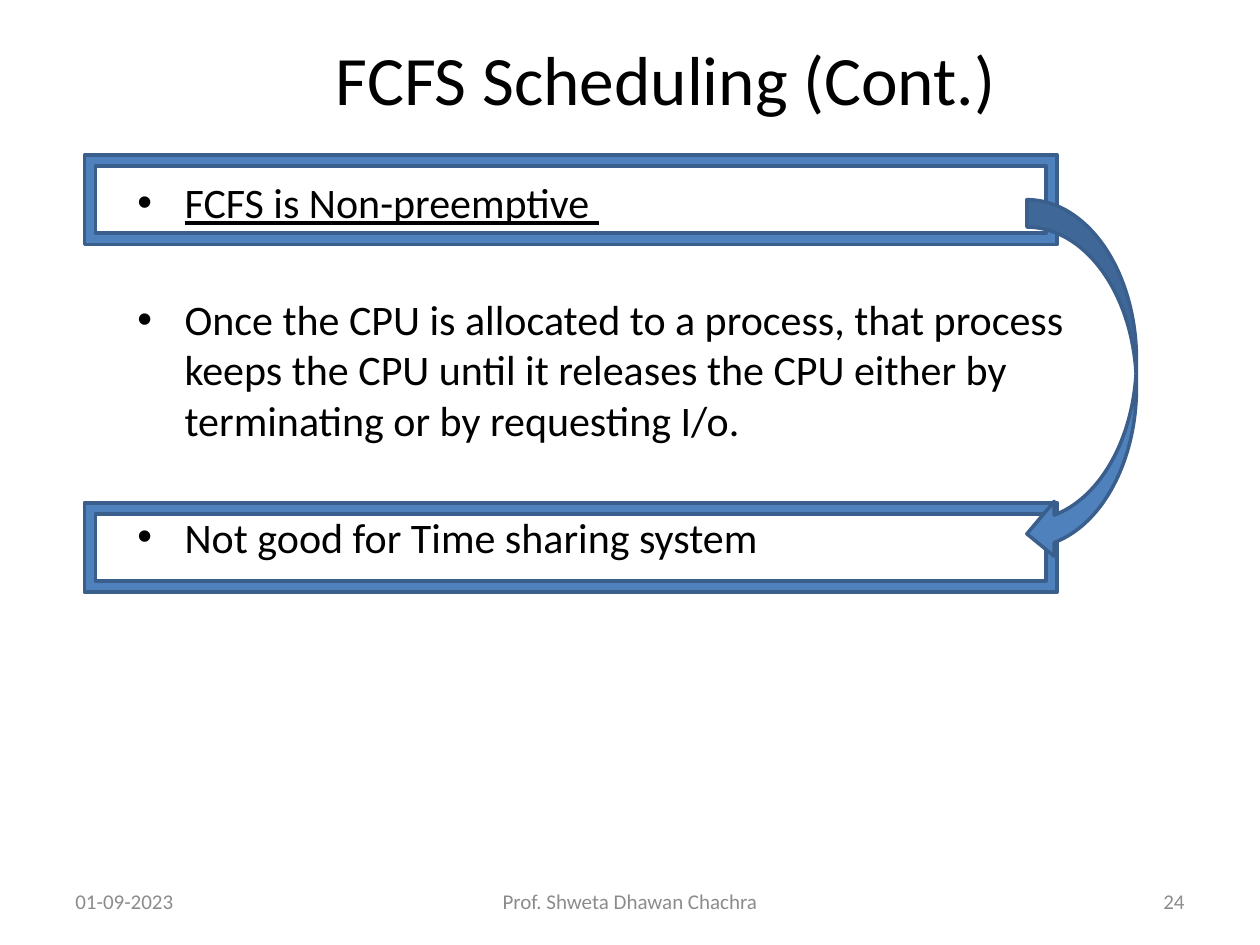
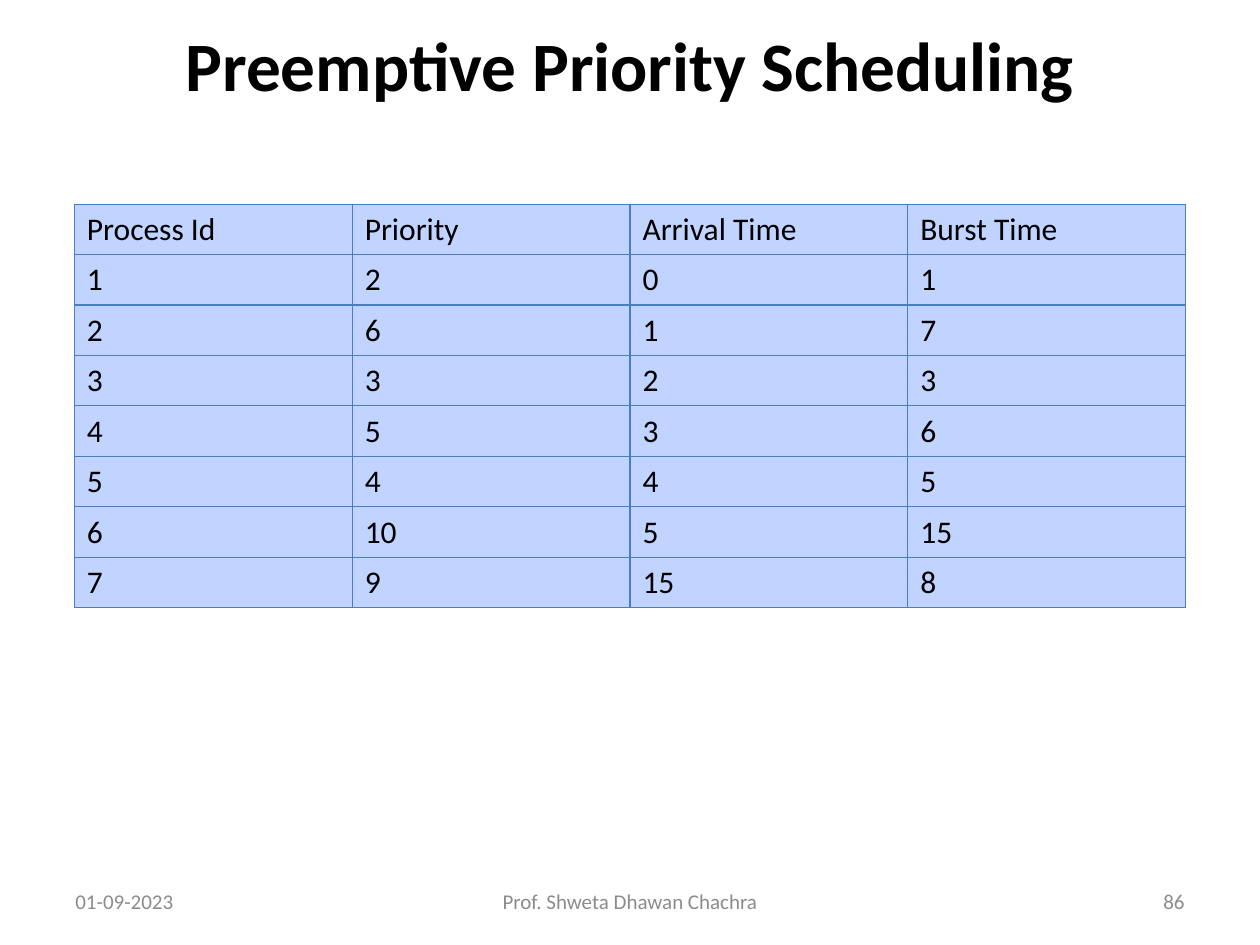
from lxml.etree import SubElement
from pptx import Presentation
from pptx.dml.color import RGBColor
from pptx.enum.shapes import MSO_SHAPE
from pptx.enum.text import MSO_ANCHOR, MSO_AUTO_SIZE, PP_ALIGN
from pptx.oxml.ns import qn
from pptx.util import Inches, Pt

# Content
DATE = "01-09-2023"
AUTHOR = "Prof. Shweta Dhawan Chachra"
FCFS_TITLE = "FCFS Scheduling (Cont.)"
FCFS_POINTS = [
    ("FCFS is Non-preemptive ", True),  # text, underlined
    ("Once the CPU is allocated to a process, that process keeps the CPU until "
     "it releases the CPU either by terminating or by requesting I/o.", False),
    ("Not good for Time sharing system", False),
]
PRIORITY_TITLE = "Preemptive Priority Scheduling"
PROCESSES = [
    ("Process Id", "Priority", "Arrival Time", "Burst Time"),
    (1, 2, 0, 1),
    (2, 6, 1, 7),
    (3, 3, 2, 3),
    (4, 5, 3, 6),
    (5, 4, 4, 5),
    (6, 10, 5, 15),
    (7, 9, 15, 8),
]

# Shared style
FONT = "Calibri"
BLACK = RGBColor(0x00, 0x00, 0x00)
GREY = RGBColor(0x8C, 0x8C, 0x8C)
BLUE = RGBColor(0x4F, 0x81, 0xBD)
DARK_BLUE = RGBColor(0x3A, 0x5F, 0x8C)
BORDER = RGBColor(0x4B, 0x7E, 0xBC)
PALE_BLUE = RGBColor(0xC0, 0xD4, 0xFF)
W, H = 10, 7.5
MARGIN = 0.05 * W
TITLE_H = 0.63
FRAME_LEFT, FRAME_W, FRAME_H = 0.67, 7.72, 0.71
FRAME_TOPS = (1.23, 3.99)


def place(sp, left, top, width, height):
    sp.left, sp.top, sp.width, sp.height = map(Inches, (left, top, width, height))


def style(p, size, color=BLACK, **flags):
    for r in p.runs:
        r.font.name, r.font.size = FONT, Pt(size)
        r.font.color.rgb = color
        for name, value in flags.items():
            setattr(r.font, name, value)


def add_footer(s, number):
    side = 2.33
    middle = 3.17
    parts = [
        (DATE, MARGIN, side, PP_ALIGN.LEFT),
        (AUTHOR, (W - middle) / 2, middle, PP_ALIGN.CENTER),
        (str(number), W - MARGIN - side, side, PP_ALIGN.RIGHT),
    ]
    for text, left, width, align in parts:
        box = s.shapes.add_textbox(*map(Inches, (left, 6.95, width, 0.4)))
        tf = box.text_frame
        tf.word_wrap, tf.vertical_anchor = True, MSO_ANCHOR.MIDDLE
        tf.text = text
        tf.paragraphs[0].alignment = align
        style(tf.paragraphs[0], 12, GREY)


def add_slide(prs, layout, title, left, top, number, bold=False):
    s = prs.slides.add_slide(prs.slide_layouts[layout])
    sp = s.shapes.title
    place(sp, left, top, W - MARGIN - left, TITLE_H)
    tf = sp.text_frame
    tf.text = title
    tf.auto_size, tf.vertical_anchor = MSO_AUTO_SIZE.NONE, MSO_ANCHOR.MIDDLE
    tf.paragraphs[0].alignment = PP_ALIGN.CENTER
    style(tf.paragraphs[0], 39.6, bold=bold)
    add_footer(s, number)
    return s


def add_blue_shape(s, kind, left, top, width, height):
    sp = s.shapes.add_shape(kind, *map(Inches, (left, top, width, height)))
    sp.shadow.inherit = False
    sp.fill.solid()
    sp.fill.fore_color.rgb = BLUE
    sp.line.color.rgb, sp.line.width = DARK_BLUE, Pt(2)


def add_borders(cell):
    tc_pr = cell._tc.get_or_add_tcPr()
    for side in ("lnL", "lnR", "lnT", "lnB"):
        ln = SubElement(tc_pr, qn(f"a:{side}"), w=str(Pt(0.75)))
        fill = SubElement(ln, qn("a:solidFill"))
        SubElement(fill, qn("a:srgbClr"), val=str(BORDER))


def build_fcfs(prs):
    s = add_slide(prs, 1, FCFS_TITLE, 1.07, 0.3, 24)

    # Bullet list
    body = s.placeholders[1]
    place(body, 0.99, 1.35, 8.37, 4.95)
    tf = body.text_frame
    tf.text = "\n".join(text for text, _ in FCFS_POINTS)
    tf.auto_size = MSO_AUTO_SIZE.NONE
    for i, (p, (_, underlined)) in enumerate(zip(tf.paragraphs, FCFS_POINTS)):
        p.space_before = Pt(38 if i else 0)
        style(p, 24, underline=underlined)

    # Frames round the first and last point, and the arrow between them
    for top in FRAME_TOPS:
        add_blue_shape(s, MSO_SHAPE.FRAME, FRAME_LEFT, top, FRAME_W, FRAME_H)
    first, last = (top + FRAME_H / 2 for top in FRAME_TOPS)
    add_blue_shape(s, MSO_SHAPE.CURVED_LEFT_ARROW,
                   8.15, first, 0.87, last - first + 0.11)


def build_priority(prs):
    s = add_slide(prs, 5, PRIORITY_TITLE, MARGIN, 0.19, 86, bold=True)

    # Process table
    rows, cols = len(PROCESSES), len(PROCESSES[0])
    left, row_h = 0.59, 0.4
    table = s.shapes.add_table(rows, cols, *map(
        Inches, (left, 1.62, W - 2 * left, rows * row_h))).table
    table.first_row = table.horz_banding = False
    for i, record in enumerate(PROCESSES):
        for j, value in enumerate(record):
            cell = table.cell(i, j)
            cell.text = str(value)
            cell.vertical_anchor = MSO_ANCHOR.MIDDLE
            add_borders(cell)
            cell.fill.solid()
            cell.fill.fore_color.rgb = PALE_BLUE
            style(cell.text_frame.paragraphs[0], 18)


def main():
    prs = Presentation()
    prs.slide_width, prs.slide_height = Inches(W), Inches(H)
    build_fcfs(prs)
    build_priority(prs)
    prs.save("out.pptx")


if __name__ == "__main__":
    main()
